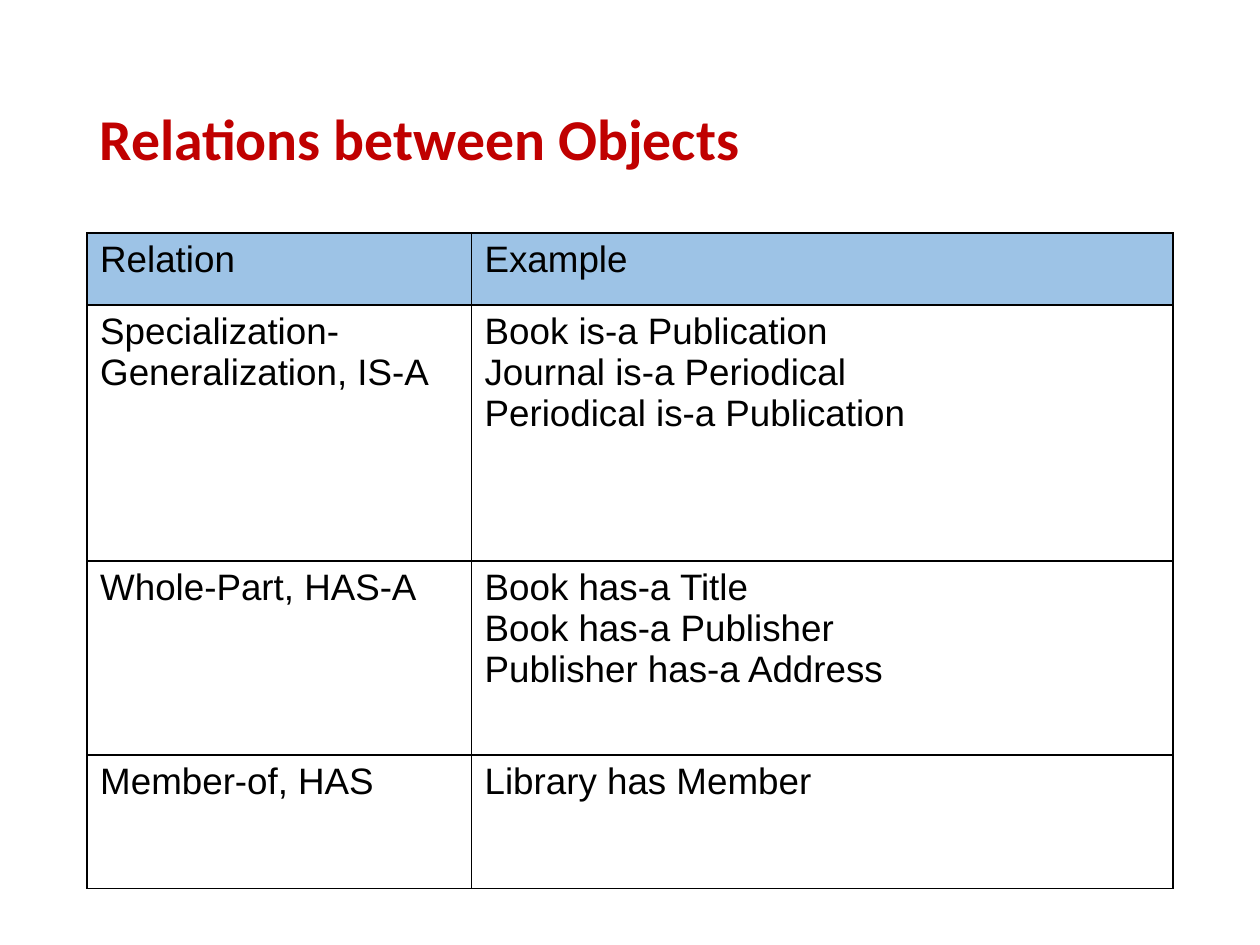
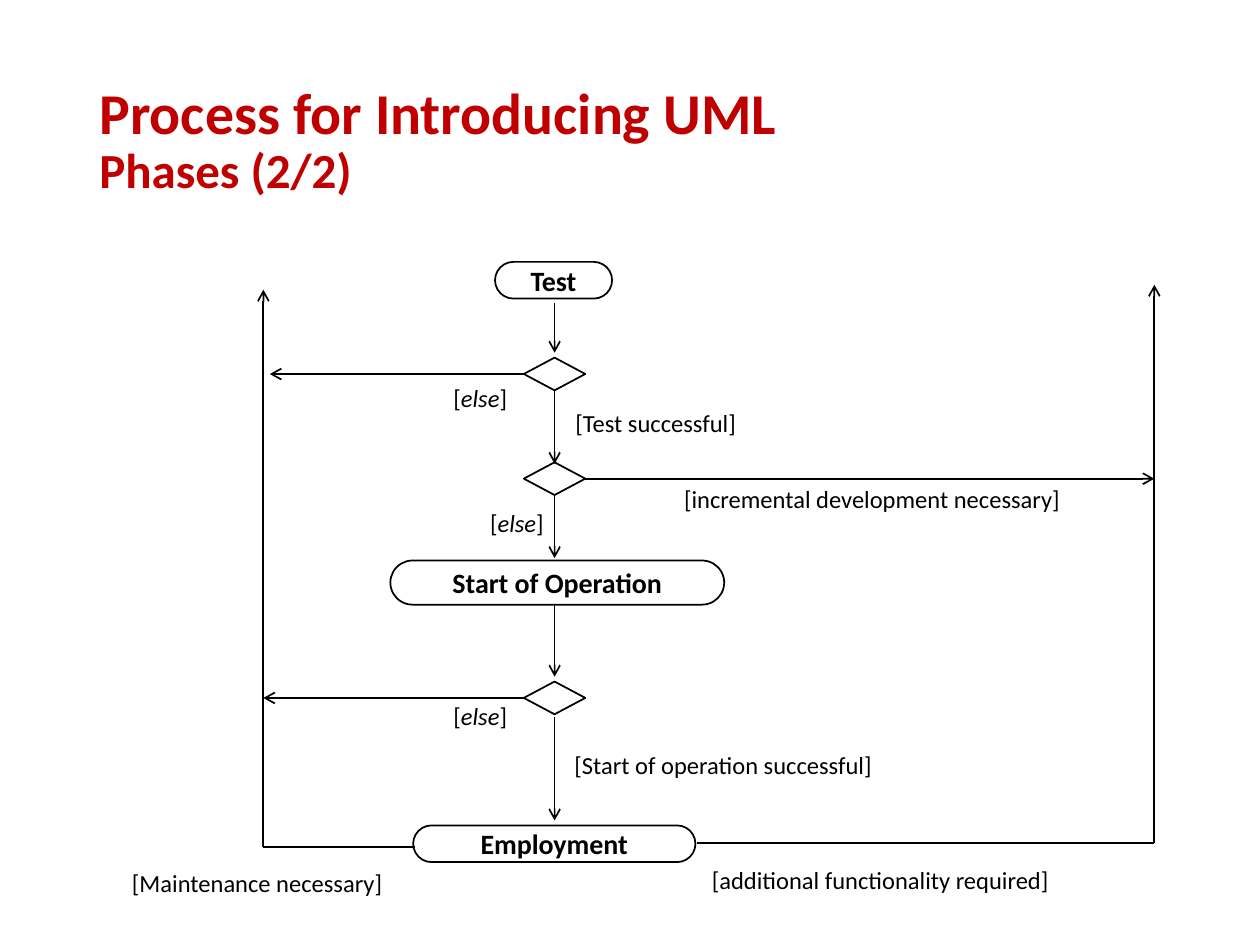
import dataclasses

import lxml.etree
import pptx
import pptx.dml.color
import pptx.enum.shapes
import pptx.enum.text
import pptx.oxml.ns
import pptx.util

Cm = pptx.util.Cm
Pt = pptx.util.Pt
SHAPES = pptx.enum.shapes.MSO_SHAPE
ALIGN = pptx.enum.text.PP_ALIGN
ANCHOR = pptx.enum.text.MSO_ANCHOR
AUTOSIZE = pptx.enum.text.MSO_AUTO_SIZE
qn = pptx.oxml.ns.qn


@dataclasses.dataclass(frozen=True)
class Theme:
    title_color: str = "C00000"
    ink: str = "000000"
    header_fill: str = "9DC3E6"
    heading_font: str = "Calibri"
    table_font: str = "Arial"
    title_size: float = 33
    subtitle_size: float = 28
    table_size: float = 21
    node_size: float = 16
    label_size: float = 14
    line_width: float = 1


def rgb(color):
    return pptx.dml.color.RGBColor.from_string(color)


def apply(target, **values):
    for name, value in values.items():
        setattr(target, name, value)


class Painter:
    def __init__(self, deck, theme):
        self.deck = deck
        self.theme = theme
        self.page = None

    def new_page(self, title, subtitle=None):
        theme = self.theme
        self.page = self.deck.slides.add_slide(self.deck.slide_layouts[5])
        box = self.page.shapes.title
        apply(box, left=Cm(1.75), top=Cm(1.02), width=Cm(21.9), height=Cm(3.68))
        apply(box.text_frame, word_wrap=True, auto_size=AUTOSIZE.NONE,
              vertical_anchor=ANCHOR.MIDDLE)
        para = box.text_frame.paragraphs[0]
        apply(para, alignment=ALIGN.LEFT, line_spacing=0.9)
        look = {"color": theme.title_color, "bold": True}
        self.span(para, title, theme.title_size, **look)
        if subtitle:
            para.add_line_break()
            self.span(para, subtitle, theme.subtitle_size, **look)

    def span(self, para, text, size, color=None, font=None, **values):
        span = para.add_run()
        span.text = text
        apply(span.font, size=Pt(size), name=font or self.theme.heading_font, **values)
        span.font.color.rgb = rgb(color or self.theme.ink)

    def stroke(self, line):
        line.width = Pt(self.theme.line_width)
        line.color.rgb = rgb(self.theme.ink)

    def shape(self, kind, left, top, width, height):
        box = self.page.shapes.add_shape(kind, Cm(left), Cm(top), Cm(width), Cm(height))
        box.shadow.inherit = False
        box.fill.background()
        self.stroke(box.line)
        return box

    def activity(self, text, left, top, width, height):
        box = self.shape(SHAPES.ROUNDED_RECTANGLE, left, top, width, height)
        box.adjustments[0] = 0.5
        apply(box.text_frame, word_wrap=False, vertical_anchor=ANCHOR.MIDDLE)
        para = box.text_frame.paragraphs[0]
        para.alignment = ALIGN.CENTER
        self.span(para, text, self.theme.node_size, bold=True)

    def label(self, text, left, top, width, italic=False):
        box = self.page.shapes.add_textbox(Cm(left), Cm(top), Cm(width), Cm(0.86))
        apply(box.text_frame, word_wrap=False, auto_size=AUTOSIZE.SHAPE_TO_FIT_TEXT)
        para = box.text_frame.paragraphs[0]
        if italic:
            for part, slanted in (("[", False), (text, True), ("]", False)):
                self.span(para, part, self.theme.label_size, italic=slanted)
        else:
            self.span(para, f"[{text}]", self.theme.label_size)

    def line(self, start, end, arrow=True):
        line = self.page.shapes.add_connector(
            pptx.enum.shapes.MSO_CONNECTOR.STRAIGHT, *map(Cm, start + end))
        self.stroke(line.line)
        properties = line._element.spPr
        if arrow:
            lxml.etree.SubElement(properties.find(qn("a:ln")), qn("a:tailEnd"), type="arrow")
        lxml.etree.SubElement(properties, qn("a:effectLst"))

    def table(self, rows, left, top, widths, heights):
        frame = self.page.shapes.add_table(len(rows), len(widths), Cm(left), Cm(top),
                                           Cm(sum(widths)), Cm(sum(heights)))
        grid = frame.table
        apply(grid, first_row=False, horz_banding=False)
        for column, width in zip(grid.columns, widths):
            column.width = Cm(width)
        for index, (row, height) in enumerate(zip(rows, heights)):
            grid.rows[index].height = Cm(height)
            for cell, text in zip(grid.rows[index].cells, row):
                self.cell(cell, text, index == 0)

    def cell(self, cell, text, header):
        theme = self.theme
        apply(cell, margin_left=Cm(0.27), margin_right=Cm(0.27),
              margin_top=Cm(0.13), margin_bottom=Cm(0.13))
        properties = cell._tc.get_or_add_tcPr()
        for side in ("lnL", "lnR", "lnT", "lnB"):
            border = lxml.etree.SubElement(properties, qn(f"a:{side}"),
                                           w=str(Pt(theme.line_width)))
            fill = lxml.etree.SubElement(border, qn("a:solidFill"))
            lxml.etree.SubElement(fill, qn("a:srgbClr"), val=theme.ink)
        if header:
            cell.fill.solid()
            cell.fill.fore_color.rgb = rgb(theme.header_fill)
        else:
            cell.fill.background()
        frame = cell.text_frame
        for index, line in enumerate(text.split("\n")):
            para = frame.add_paragraph() if index else frame.paragraphs[0]
            self.span(para, line, theme.table_size, font=theme.table_font)


def relations(painter):
    painter.new_page("Relations between Objects")
    rows = [
        ("Relation", "Example"),
        ("Specialization-Generalization, IS-A",
         "Book is-a Publication\nJournal is-a Periodical\nPeriodical is-a Publication"),
        ("Whole-Part, HAS-A",
         "Book has-a Title\nBook has-a Publisher\nPublisher has-a Address"),
        ("Member-of, HAS", "Library has Member"),
    ]
    painter.table(rows, 1.75, 4.7, (7.75, 14.15), (1.45, 5.16, 3.91, 2.69))


def process(painter):
    painter.new_page("Process for Introducing UML ", "Phases (2/2)")
    axis, left_rail, right_rail = 11.18, 5.31, 23.27

    painter.activity("Test", 9.98, 5.28, 2.36, 0.74)
    painter.activity("Start of Operation", 7.87, 11.3, 6.73, 0.89)
    painter.activity("Employment", 8.33, 16.64, 5.69, 0.74)
    for top in (7.21, 9.32, 13.74):
        painter.shape(SHAPES.DIAMOND, axis - 0.62, top, 1.24, 0.66)

    for top, bottom in ((6.1, 7.11), (7.87, 9.35), (10, 11.25), (12.17, 13.64), (14.45, 16.54)):
        painter.line((axis, top), (axis, bottom))
    painter.line((11.79, 9.65), (right_rail, 9.65))
    painter.line((10.6, 7.54), (5.44, 7.54))
    painter.line((10.57, 14.07), (left_rail, 14.07))
    painter.line((8.36, 17.07), (left_rail, 17.07), arrow=False)
    painter.line((left_rail, 17.07), (left_rail, 5.84))
    painter.line((right_rail, 16.99), (14.05, 16.99), arrow=False)
    painter.line((right_rail, 16.99), (right_rail, 5.74))

    for left, top in ((8.89, 7.59), (9.63, 10.11), (8.89, 14)):
        painter.label("else", left, top, 1.7, italic=True)
    for text, left, top, width in (
        ("Test successful", 11.35, 8.1, 3.99),
        ("incremental development necessary", 13.54, 9.63, 8.74),
        ("Start of operation successful", 11.33, 14.99, 7.06),
        ("Maintenance necessary", 2.41, 17.37, 5.82),
        ("additional functionality required", 14.1, 17.32, 7.65),
    ):
        painter.label(text, left, top, width)


def main():
    deck = pptx.Presentation()
    apply(deck, slide_width=Cm(25.4), slide_height=Cm(19.05))
    painter = Painter(deck, Theme())
    relations(painter)
    process(painter)
    deck.save("out.pptx")


if __name__ == "__main__":
    main()
